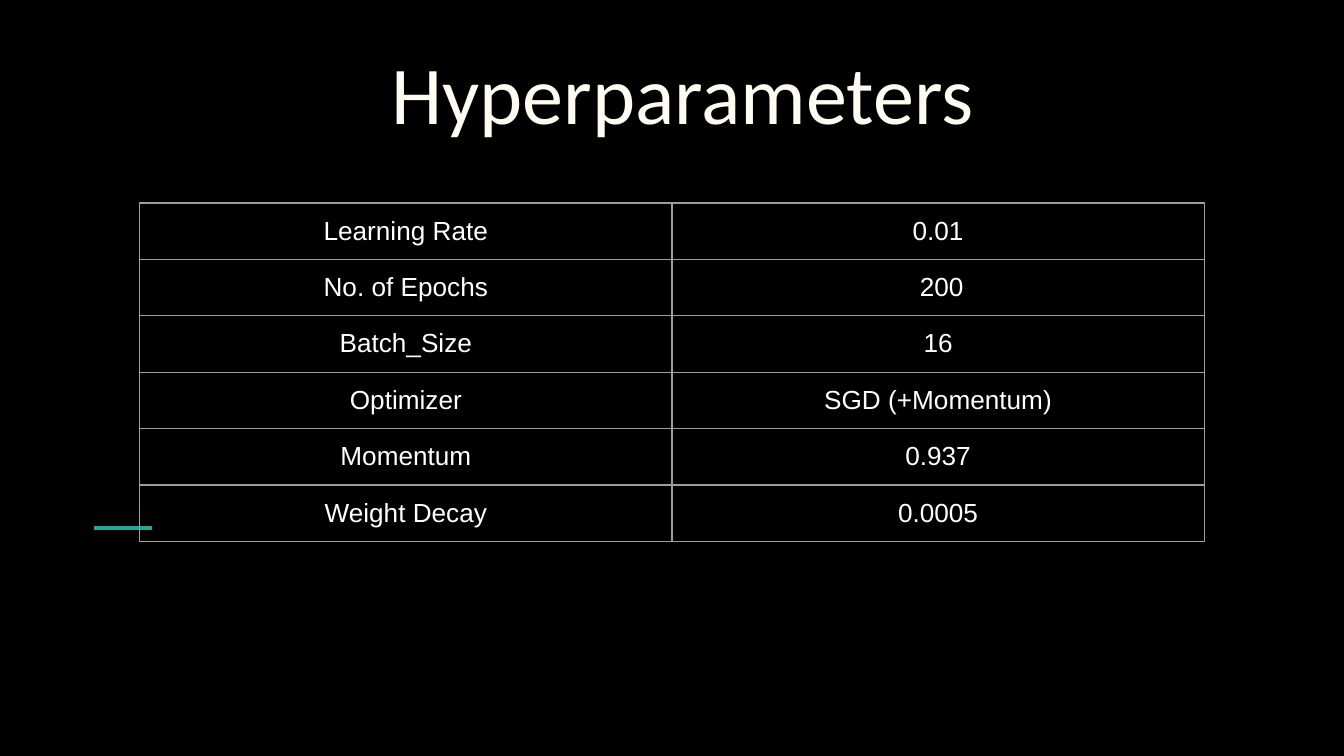
"""Build the hyperparameters slide with its two-column table."""
from dataclasses import dataclass

from lxml.etree import SubElement
from pptx import Presentation
from pptx.dml.color import RGBColor
from pptx.enum.shapes import MSO_CONNECTOR
from pptx.enum.text import MSO_ANCHOR, PP_ALIGN
from pptx.oxml.ns import qn
from pptx.slide import Slide
from pptx.table import _Cell
from pptx.text.text import TextFrame
from pptx.util import Inches, Pt

BLACK = RGBColor(0x00, 0x00, 0x00)
WHITE = RGBColor(0xFF, 0xFF, 0xFF)
CREAM = RGBColor(0xFF, 0xFB, 0xF0)
TEAL = RGBColor(0x26, 0xA6, 0x9A)
GREY = RGBColor(0x9E, 0x9E, 0x9E)

SLIDE_WIDTH = Inches(10)
SLIDE_HEIGHT = SLIDE_WIDTH * 9 // 16
INSET = Inches(0.1)
COLUMN_WIDTH = Inches(3.96)
ROW_HEIGHT = Inches(0.42)


@dataclass(frozen=True)
class Hyperparameter:
    name: str
    value: str


@dataclass(frozen=True)
class TextStyle:
    font: str
    size: int
    color: RGBColor


TITLE_STYLE = TextStyle("Calibri", 44, CREAM)
CELL_STYLE = TextStyle("Arial", 14, WHITE)

HYPERPARAMETERS = [
    Hyperparameter("Learning Rate", "0.01"),
    Hyperparameter("No. of Epochs", " 200"),
    Hyperparameter("Batch_Size", "16"),
    Hyperparameter("Optimizer", "SGD (+Momentum)"),
    Hyperparameter("Momentum", "0.937"),
    Hyperparameter("Weight Decay", "0.0005"),
]


def write_centred(frame: TextFrame, text: str, style: TextStyle) -> None:
    para = frame.paragraphs[0]
    para.alignment = PP_ALIGN.CENTER
    span = para.add_run()
    span.text = text
    span.font.name = style.font
    span.font.size = Pt(style.size)
    span.font.color.rgb = style.color


def set_insets(holder: TextFrame | _Cell) -> None:
    holder.margin_left = holder.margin_right = INSET
    holder.margin_top = holder.margin_bottom = INSET


def add_accent_line(page: Slide) -> None:
    height = Inches(3.93)
    line = page.shapes.add_connector(
        MSO_CONNECTOR.STRAIGHT, Inches(0.7), height, Inches(1.13), height
    )
    line.line.color.rgb = TEAL
    line.line.width = Pt(2.25)
    SubElement(line._element.spPr, qn("a:effectLst"))


def fill_title(page: Slide, text: str) -> None:
    title = page.shapes.title
    title.left, title.top = Inches(0.64), Inches(0.33)
    title.width, title.height = Inches(8.88), Inches(0.82)
    frame = title.text_frame
    frame.word_wrap = True
    frame.vertical_anchor = MSO_ANCHOR.BOTTOM
    set_insets(frame)
    write_centred(frame, text, TITLE_STYLE)


def set_borders(cell: _Cell) -> None:
    properties = cell._tc.get_or_add_tcPr()
    for side in ("lnL", "lnR", "lnT", "lnB"):
        border = SubElement(properties, qn(f"a:{side}"), w=str(Pt(0.75)))
        fill = SubElement(border, qn("a:solidFill"))
        SubElement(fill, qn("a:srgbClr"), val=str(GREY))


def add_parameter_table(page: Slide, parameters: list[Hyperparameter]) -> None:
    table = page.shapes.add_table(
        len(parameters), 2, Inches(1.04), Inches(1.51),
        2 * COLUMN_WIDTH, len(parameters) * ROW_HEIGHT,
    ).table
    table.first_row = False
    table.horz_banding = False
    for column in table.columns:
        column.width = COLUMN_WIDTH
    for row, parameter in zip(table.rows, parameters):
        row.height = ROW_HEIGHT
        for cell, text in zip(row.cells, (parameter.name, parameter.value)):
            set_insets(cell)
            set_borders(cell)
            cell.fill.background()
            write_centred(cell.text_frame, text, CELL_STYLE)


def main() -> None:
    deck = Presentation()
    deck.slide_width, deck.slide_height = SLIDE_WIDTH, SLIDE_HEIGHT
    page = deck.slides.add_slide(deck.slide_layouts[5])
    page.background.fill.solid()
    page.background.fill.fore_color.rgb = BLACK
    add_accent_line(page)
    fill_title(page, "Hyperparameters")
    add_parameter_table(page, HYPERPARAMETERS)
    deck.save("out.pptx")


if __name__ == "__main__":
    main()
